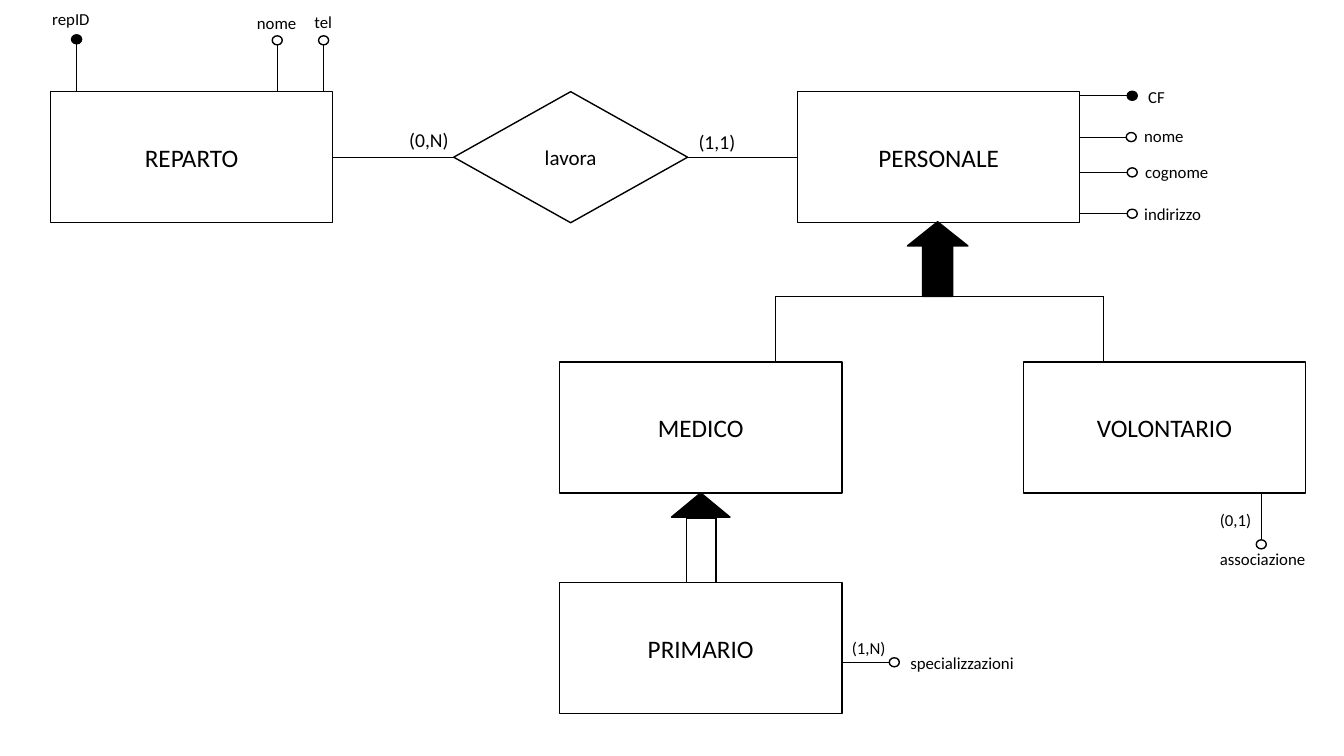
from dataclasses import dataclass

from lxml import etree
from pptx import Presentation
from pptx import util as u
from pptx.dml.color import RGBColor
from pptx.enum import shapes, text
from pptx.oxml import ns


@dataclass(frozen=True)
class Theme:
    font: str = "Calibri"
    ink: RGBColor = RGBColor(0, 0, 0)
    paper: RGBColor = RGBColor(255, 255, 255)
    entity_size: float = 18
    relation_size: float = 15
    cardinality_size: float = 14
    attribute_size: float = 12
    outline: float = 1
    connection: float = 0.5


@dataclass(frozen=True)
class Node:
    name: str
    left: float
    top: float
    width: float = 2.8
    height: float = 1.3
    kind: shapes.MSO_SHAPE = shapes.MSO_SHAPE.RECTANGLE
    size: float = Theme.entity_size


@dataclass(frozen=True)
class Label:
    words: str
    left: float
    top: float
    width: float
    height: float = 0.3
    size: float = Theme.attribute_size
    wrap: bool = False


@dataclass(frozen=True)
class Attribute:
    x: float  # centre of the dot
    y: float
    toward: tuple[int, int]  # direction from the dot to its entity
    label: Label
    is_key: bool = False


THEME = Theme()
DOT_WIDTH, DOT_HEIGHT, STEM = 0.1, 0.09, 0.47
UP, DOWN, LEFT = (0, -1), (0, 1), (-1, 0)

deck = Presentation()
deck.slide_width, deck.slide_height = u.Inches(13.33), u.Inches(7.5)
page = deck.slides.add_slide(deck.slide_layouts[6])


def write(frame: text.MSO_ANCHOR, words: str, *, size: float,
          align: text.PP_ALIGN, anchor: text.MSO_ANCHOR) -> None:
    frame.vertical_anchor = anchor
    para = frame.paragraphs[0]
    para.alignment = align
    span = para.add_run()
    span.text = words
    span.font.name = THEME.font
    span.font.size = u.Pt(size)
    span.font.color.rgb = THEME.ink


def draw_shape(kind: shapes.MSO_SHAPE, left: float, top: float, width: float,
               height: float, *, fill: RGBColor = THEME.paper,
               adjustments: tuple[float, ...] = ()):
    box = page.shapes.add_shape(kind, *map(u.Inches, (left, top, width, height)))
    box.shadow.inherit = False
    box.fill.solid()
    box.fill.fore_color.rgb = fill
    box.line.color.rgb = THEME.ink
    box.line.width = u.Pt(THEME.outline)
    for index, value in enumerate(adjustments):
        box.adjustments[index] = value
    return box


def draw_line(x1: float, y1: float, x2: float, y2: float) -> None:
    line = page.shapes.add_connector(
        shapes.MSO_CONNECTOR.STRAIGHT, *map(u.Inches, (x1, y1, x2, y2)))
    line.line.color.rgb = THEME.ink
    line.line.width = u.Pt(THEME.connection)
    etree.SubElement(line._element.spPr, ns.qn("a:effectLst"))


def draw_node(node: Node) -> None:
    box = draw_shape(node.kind, node.left, node.top, node.width, node.height)
    write(box.text_frame, node.name, size=node.size,
          align=text.PP_ALIGN.CENTER, anchor=text.MSO_ANCHOR.MIDDLE)


def draw_label(label: Label) -> None:
    box = page.shapes.add_textbox(
        *map(u.Inches, (label.left, label.top, label.width, label.height)))
    frame = box.text_frame
    frame.word_wrap = label.wrap
    frame.auto_size = text.MSO_AUTO_SIZE.SHAPE_TO_FIT_TEXT
    write(frame, label.words, size=label.size,
          align=text.PP_ALIGN.LEFT, anchor=text.MSO_ANCHOR.TOP)


def draw_attribute(item: Attribute) -> None:
    dx, dy = item.toward
    x, y = item.x + dx * DOT_WIDTH / 2, item.y + dy * DOT_HEIGHT / 2
    draw_line(x, y, x + dx * STEM, y + dy * STEM)
    draw_shape(shapes.MSO_SHAPE.OVAL, item.x - DOT_WIDTH / 2,
               item.y - DOT_HEIGHT / 2, DOT_WIDTH, DOT_HEIGHT,
               fill=THEME.ink if item.is_key else THEME.paper)
    draw_label(item.label)


# Hollow generalization shaft, tucked under the PRIMARIO entity
draw_shape(shapes.MSO_SHAPE.RECTANGLE, 6.81, 5.14, 0.29, 0.66)
draw_shape(shapes.MSO_SHAPE.ISOSCELES_TRIANGLE, 6.66, 4.89, 0.58, 0.24,
           fill=THEME.ink, adjustments=(0.5,))

# Entities and relation
NODES = (
    Node("REPARTO", 0.5, 0.91),
    Node("PERSONALE", 7.91, 0.91),
    Node("MEDICO", 5.55, 3.59),
    Node("VOLONTARIO", 10.15, 3.59),
    Node("PRIMARIO", 5.55, 5.78),
    Node("lavora", 4.5, 0.91, width=2.32, kind=shapes.MSO_SHAPE.DIAMOND,
         size=THEME.relation_size),
)
for node in NODES:
    draw_node(node)

# Generalization of PERSONALE into MEDICO and VOLONTARIO
draw_shape(shapes.MSO_SHAPE.UP_ARROW, 9, 2.2, 0.6, 0.74,
           fill=THEME.ink, adjustments=(0.5, 0.4))
BRANCHES, BAR_Y = (7.69, 10.94), 2.94
draw_line(BRANCHES[0], BAR_Y, BRANCHES[1], BAR_Y)
for branch_x in BRANCHES:
    draw_line(branch_x, BAR_Y, branch_x, 3.59)

# Links between the relation and its entities
for start, end in ((3.3, 4.5), (6.82, 7.91)):
    draw_line(start, 1.56, end, 1.56)

# Attributes
ATTRIBUTES = (
    Attribute(0.76, 0.39, DOWN, Label("repID", 0.42, 0.04, 0.57), is_key=True),
    Attribute(2.75, 0.4, DOWN, Label("nome", 2.45, 0.08, 0.6)),
    Attribute(3.21, 0.4, DOWN, Label("tel", 3.02, 0.07, 0.38)),
    Attribute(11.23, 0.95, LEFT, Label("CF", 11.29, 0.81, 0.37), is_key=True),
    Attribute(11.22, 1.36, LEFT, Label("nome", 11.25, 1.2, 0.6)),
    Attribute(11.23, 1.71, LEFT, Label("cognome", 11.26, 1.56, 0.84)),
    Attribute(11.23, 2.12, LEFT, Label("indirizzo", 11.25, 1.97, 0.77)),
    Attribute(12.51, 5.4, UP, Label("associazione", 12, 5.39, 1.06)),
    Attribute(8.87, 6.57, LEFT, Label("specializzazioni", 8.93, 6.43, 1.24)),
)
for attribute in ATTRIBUTES:
    draw_attribute(attribute)

# Cardinalities
CARDINALITIES = (
    Label("(0,1)", 12, 5.01, 0.52),
    Label("(1,N)", 8.35, 6.28, 0.54),
    Label("(0,N)", 3.96, 1.22, 0.59, 0.34, THEME.cardinality_size, wrap=True),
    Label("(1,1)", 6.83, 1.24, 0.59, 0.34, THEME.cardinality_size, wrap=True),
)
for cardinality in CARDINALITIES:
    draw_label(cardinality)

deck.save("out.pptx")
